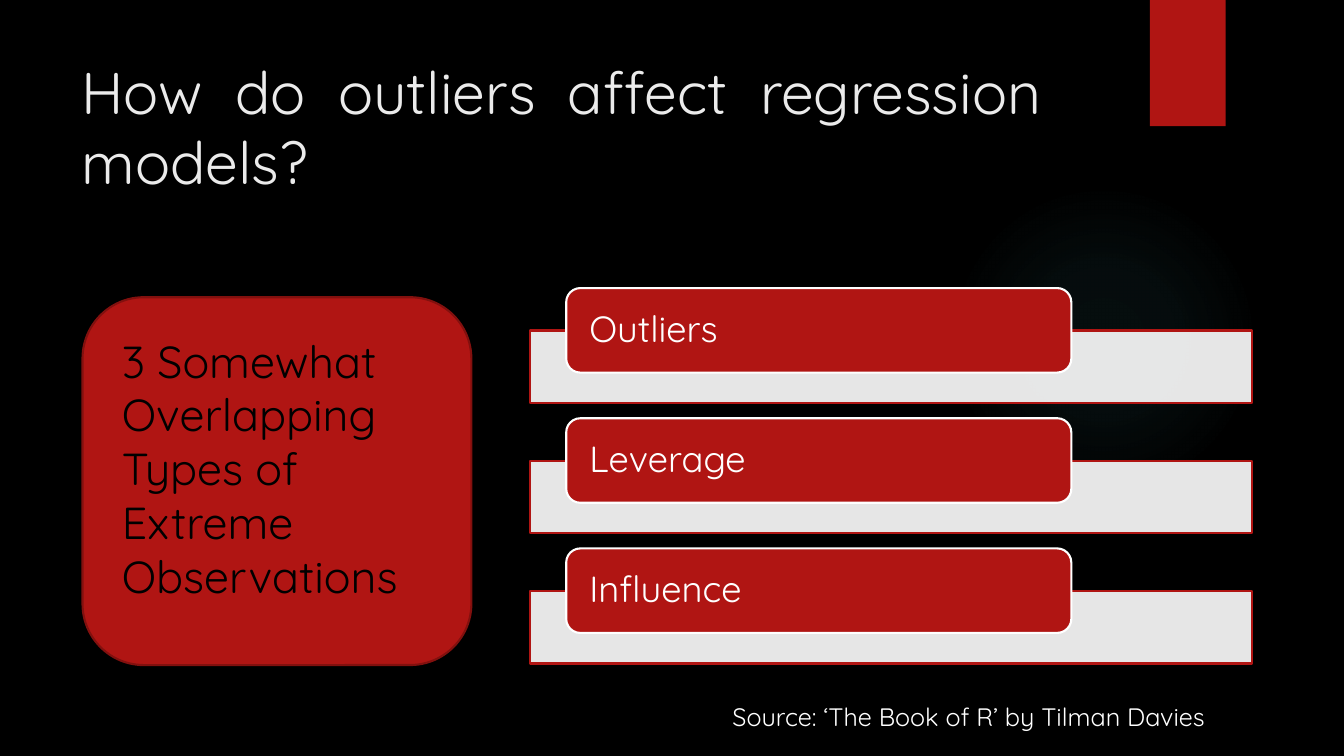
from lxml import etree
from pptx import Presentation
from pptx import util as u
from pptx.dml.color import RGBColor
from pptx.enum import shapes, text
from pptx.oxml import parse_xml
from pptx.oxml.ns import nsdecls, qn

COLOURS = {
    "night": "000000",
    "red": "B01513",
    "dark red": "82100E",
    "white": "FFFFFF",
    "pale": "EBEBEB",
    "teal": "50B9C1",
}
KINDS = shapes.MSO_SHAPE


def colour(name):
    """Return the named colour as an RGBColor."""
    return RGBColor.from_string(COLOURS[name])


class Deck:
    """Holds the presentation style and the current slide."""

    font = "Quicksand"
    line_width = 1.5

    def __init__(self):
        """Open a wide presentation with one dark title-only slide."""
        self.show = Presentation()
        self.show.slide_width, self.show.slide_height = u.Cm(33.87), u.Cm(19.05)
        self.slide = self.show.slides.add_slide(self.show.slide_layouts[5])
        backdrop = self.slide.background.fill
        backdrop.solid()
        backdrop.fore_color.rgb = colour("night")

    def wording(self, shape, words, size, ink, frame=None, paragraph=None):
        """Put formatted words into a shape."""
        box = shape.text_frame
        box.text = words
        line = box.paragraphs[0]
        frame = {"word_wrap": True, "vertical_anchor": text.MSO_ANCHOR.TOP, **(frame or {})}
        paragraph = {"alignment": text.PP_ALIGN.LEFT, **(paragraph or {})}
        letters = {"name": self.font, "size": u.Pt(size)}
        for target, values in ((box, frame), (line, paragraph), (line.runs[0].font, letters)):
            for key, value in values.items():
                setattr(target, key, value)
        line.runs[0].font.color.rgb = colour(ink)

    def title(self, words, place, **style):
        """Move and fill the title placeholder."""
        heading = self.slide.shapes.title
        for key, value in zip(("left", "top", "width", "height"), place):
            setattr(heading, key, u.Cm(value))
        self.wording(heading, words, **style)

    def panel(self, kind, place, fill, edge=None, opacity=None):
        """Add a flat preset shape."""
        shape = self.slide.shapes.add_shape(kind, *map(u.Cm, place))
        shape.shadow.inherit = False
        shape.fill.solid()
        shape.fill.fore_color.rgb = colour(fill)
        if opacity:
            tint = shape._element.spPr.find(qn("a:solidFill"))[0]
            etree.SubElement(tint, qn("a:alpha"), val=str(opacity * 1000))
        if edge:
            shape.line.color.rgb = colour(edge)
            shape.line.width = u.Pt(self.line_width)
        else:
            shape.line.fill.background()
        return shape

    def glow(self, place, tint, stops):
        """Add a circle that fades out from its centre."""
        shape = self.panel(KINDS.OVAL, place, tint)
        marks = "".join(
            f'<a:gs pos="{position * 1000}"><a:srgbClr val="{COLOURS[tint]}">'
            f'<a:alpha val="{opacity * 1000}"/></a:srgbClr></a:gs>'
            for position, opacity in stops
        )
        fade = parse_xml(
            f'<a:gradFill {nsdecls("a")}><a:gsLst>{marks}</a:gsLst><a:path path="circle">'
            '<a:fillToRect l="50000" t="50000" r="50000" b="50000"/></a:path></a:gradFill>'
        )
        properties = shape._element.spPr
        properties.replace(properties.find(qn("a:solidFill")), fade)

    def label(self, words, place, **style):
        """Add a text box."""
        self.wording(self.slide.shapes.add_textbox(*map(u.Cm, place)), words, **style)


def main():
    """Build and save the slide."""
    deck = Deck()
    deck.glow((23.9, 4.65, 7.82, 7.82), "teal", ((0, 7), (36, 6), (69, 0)))
    deck.panel(KINDS.RECTANGLE, (28.98, 0, 1.91, 3.18), "red")
    deck.title(
        "How do outliers affect regression models?", (1.8, 1.27, 26.14, 3.89),
        size=42, ink="pale", frame={"margin_right": u.Cm(1.7)},
        paragraph={"alignment": text.PP_ALIGN.JUSTIFY},
    )

    tab_frame = {
        "vertical_anchor": text.MSO_ANCHOR.MIDDLE,
        "margin_left": u.Cm(0.48), "margin_right": u.Cm(0.48),
        "margin_top": 0, "margin_bottom": 0,
    }
    for row, observation in enumerate(("Outliers", "Leverage", "Influence")):
        drop = row * 3.28
        deck.panel(KINDS.RECTANGLE, (13.36, 8.33 + drop, 18.19, 1.83), "white", "red", 90)
        tab = deck.panel(KINDS.ROUNDED_RECTANGLE, (14.27, 7.26 + drop, 12.73, 2.13), "red", "white")
        deck.wording(tab, observation, 26, "white", tab_frame, {"line_spacing": 0.9})

    card = deck.panel(KINDS.ROUNDED_RECTANGLE, (2.08, 7.49, 9.8, 9.27), "red", "dark red")
    card_frame = {"margin_left": u.Cm(0.54), "margin_right": u.Cm(0.54), "margin_top": u.Cm(0.46)}
    deck.wording(card, "3 Somewhat Overlapping Types of Extreme Observations", 32, "night", card_frame)
    deck.label("Source: ‘The Book of R’ by Tilman Davies", (18.21, 17.55, 15.24, 1.02),
               size=18, ink="white")
    deck.show.save("out.pptx")


if __name__ == "__main__":
    main()
